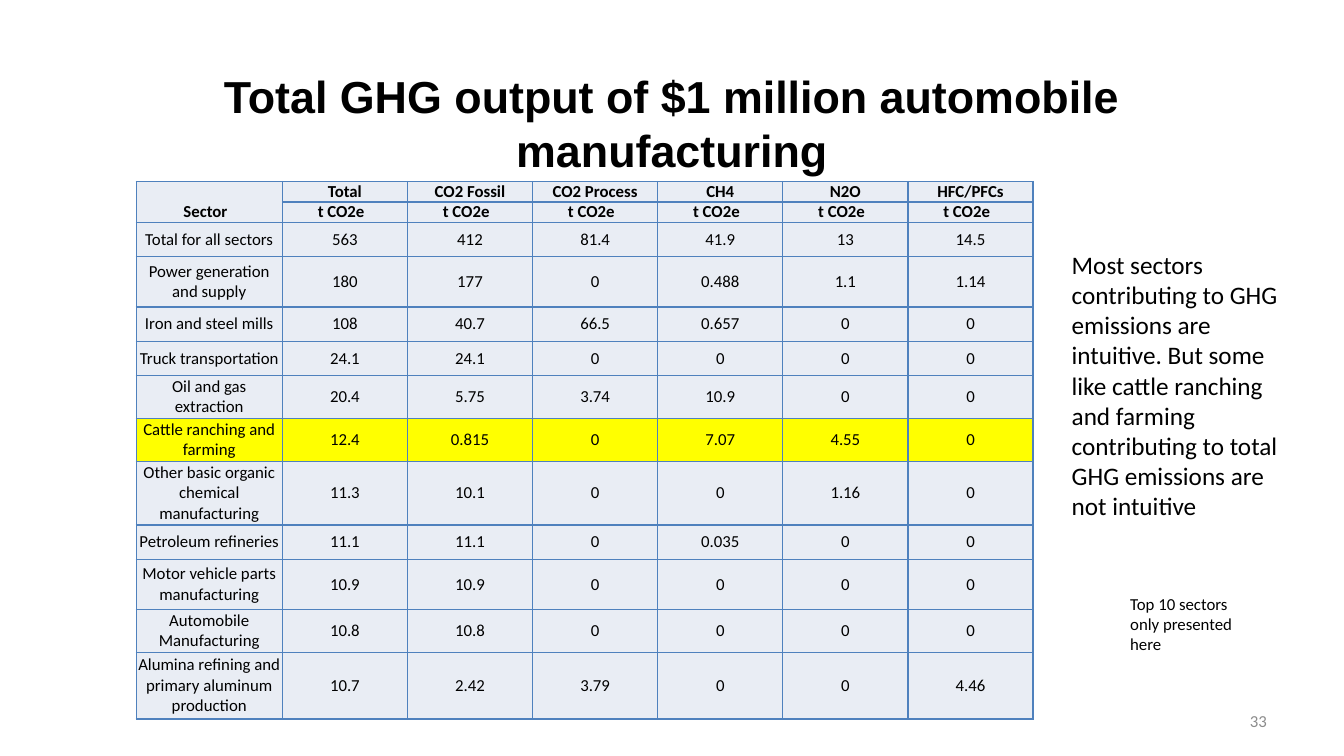
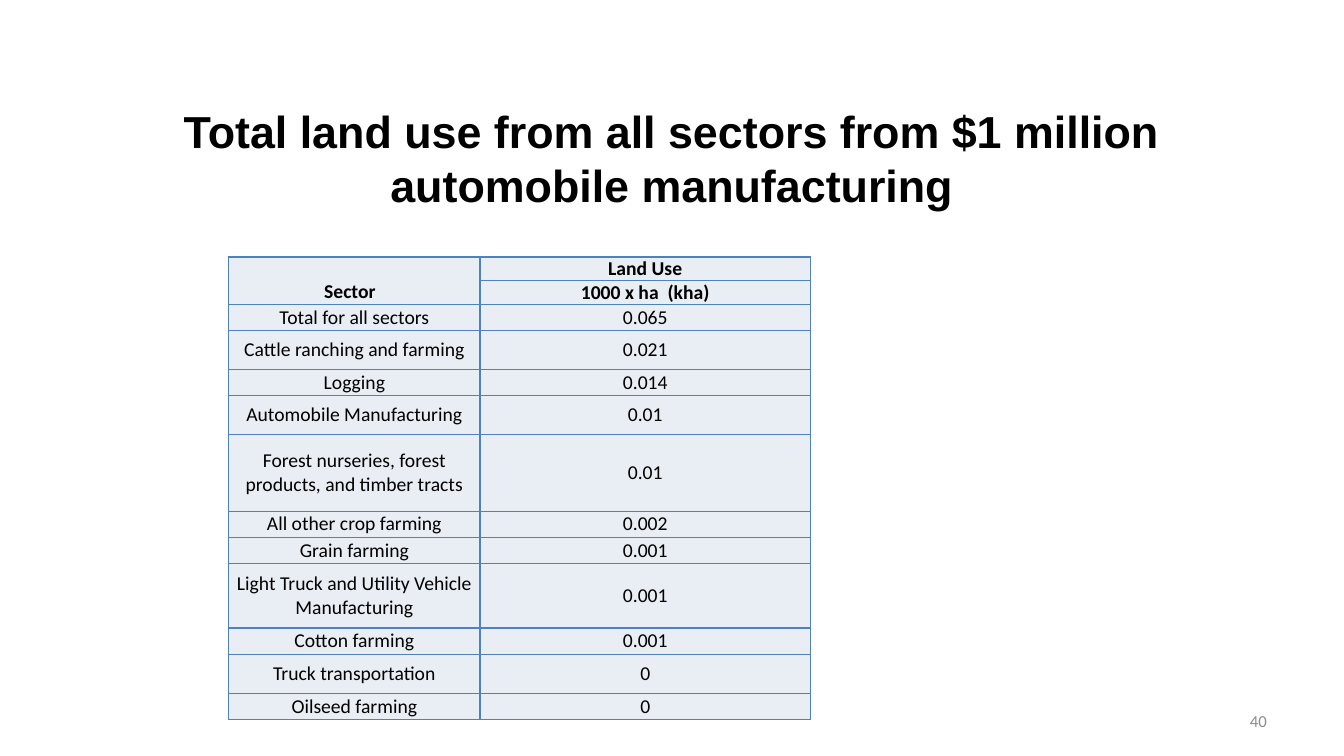
from lxml import etree
from pptx import Presentation
from pptx.dml.color import RGBColor
from pptx.enum.text import MSO_ANCHOR as Anchor, MSO_AUTO_SIZE as AutoSize, PP_ALIGN as Align
from pptx.oxml.ns import qn
from pptx.util import Inches, Pt

WIDTH, HEIGHT = Inches(13.33), Inches(7.5)
BLACK, GREY, BORDER = "000000", "8C8C8C", "4F81BD"
CELL_FILL, HIGHLIGHT = "E9EDF4", "FFFF00"

EMISSION_HEADERS = [
    ["Sector  ", "Total", "CO2 Fossil", "CO2 Process", "CH4", "N2O", "HFC/PFCs"],
    [""] + ["t CO2e  "] * 6,
]
EMISSIONS = [
    ["Total for all sectors", "563", "412", "81.4", "41.9", "13", "14.5"],
    ["Power generation and supply", "180", "177", "0", "0.488", "1.1", "1.14"],
    ["Iron and steel mills", "108", "40.7", "66.5", "0.657", "0", "0"],
    ["Truck transportation", "24.1", "24.1", "0", "0", "0", "0"],
    ["Oil and gas extraction", "20.4", "5.75", "3.74", "10.9", "0", "0"],
    ["Cattle ranching and farming", "12.4", "0.815", "0", "7.07", "4.55", "0"],
    ["Other basic organic chemical manufacturing", "11.3", "10.1", "0", "0", "1.16", "0"],
    ["Petroleum refineries", "11.1", "11.1", "0", "0.035", "0", "0"],
    ["Motor vehicle parts manufacturing", "10.9", "10.9", "0", "0", "0", "0"],
    ["Automobile Manufacturing", "10.8", "10.8", "0", "0", "0", "0"],
    ["Alumina refining and primary aluminum production", "10.7", "2.42", "3.79", "0", "0", "4.46"],
]
EMISSION_HEIGHTS = [2.13, 2.13, 4.53, 6.67, 4.53, 4.53, 4.53, 4.53, 6.67, 4.53, 6.67, 4.53, 8.8]

LAND_HEADERS = [["Sector  ", "Land Use"], ["", "1000 x ha  (kha)"]]
LAND_USE = [
    ["Total for all sectors", "0.065"],
    ["Cattle ranching and farming", "0.021"],
    ["Logging", "0.014"],
    ["Automobile Manufacturing", "0.01"],
    ["Forest nurseries, forest products, and timber tracts", "0.01"],
    ["All other crop farming", "0.002"],
    ["Grain farming", "0.001"],
    ["Light Truck and Utility Vehicle Manufacturing", "0.001"],
    ["Cotton farming", "0.001"],
    ["Truck transportation", "0"],
    ["Oilseed farming", "0"],
]
LAND_HEIGHTS = [2.8, 1.73, 3.47, 5.2, 1.87, 5.2, 10.13, 3.47, 3.47, 8.53, 3.47, 5.2, 3.47]


def color(hex_code):
    return RGBColor.from_string(hex_code)


def across(percent):
    return round(WIDTH * percent / 100)


def down(percent):
    return round(HEIGHT * percent / 100)


def place(left, top, width, height):
    return across(left), down(top), across(width), down(height)


def write(frame, text, size, font="Calibri", ink=BLACK, bold=False, align=Align.LEFT):
    frame.text = text
    para = frame.paragraphs[0]
    para.alignment = align
    for span in para.runs:
        span.font.name, span.font.size, span.font.bold = font, Pt(size), bold
        span.font.color.rgb = color(ink)


def add_text(page, box, text, size, anchor=Anchor.TOP, grow=False, **style):
    frame = page.shapes.add_textbox(*place(*box)).text_frame
    frame.word_wrap = True
    frame.auto_size = AutoSize.SHAPE_TO_FIT_TEXT if grow else AutoSize.NONE
    frame.vertical_anchor = anchor
    write(frame, text, size, **style)


def add_page(deck, title, title_top, number):
    page = deck.slides.add_slide(deck.slide_layouts[6])
    add_text(page, (5, title_top, 90, 15.6), title, 32, Anchor.MIDDLE,
             font="Arial", bold=True, align=Align.CENTER)
    add_text(page, (71.7, 92.7, 23.3, 5.3), number, 12, Anchor.MIDDLE,
             ink=GREY, align=Align.RIGHT)
    return page


def draw_borders(cell):
    properties = cell._tc.get_or_add_tcPr()
    for position, side in enumerate(("lnL", "lnR", "lnT", "lnB")):
        line = etree.Element(qn(f"a:{side}"), w=str(Pt(1)))
        fill = etree.SubElement(line, qn("a:solidFill"))
        etree.SubElement(fill, qn("a:srgbClr"), val=BORDER)
        properties.insert(position, line)


def fill_cell(cell, text, size, header, fill):
    cell.margin_left = cell.margin_right = 0
    cell.margin_top = cell.margin_bottom = 0 if header else Inches(0.01)
    cell.vertical_anchor = Anchor.BOTTOM if header else Anchor.MIDDLE
    cell.fill.solid()
    cell.fill.fore_color.rgb = color(fill)
    write(cell.text_frame, text, size, bold=header, align=Align.CENTER)
    draw_borders(cell)


def add_sector_table(page, corner, widths, heights, headers, body, size, highlight=None):
    rows = headers + body
    box = place(*corner, sum(widths), sum(heights))
    table = page.shapes.add_table(len(rows), len(widths), *box).table
    table.first_row = table.horz_banding = False
    for column, width in zip(table.columns, widths):
        column.width = across(width)
    for row, height in zip(table.rows, heights):
        row.height = down(height)
    for index, values in enumerate(rows):
        fill = HIGHLIGHT if values[0] == highlight else CELL_FILL
        for cell, text in zip(table.rows[index].cells, values):
            fill_cell(cell, text, size, index < len(headers), fill)
    table.cell(0, 0).merge(table.cell(1, 0))


def add_emissions_page(deck):
    page = add_page(deck, "Total GHG output of $1 million automobile manufacturing", 8.4, "33")
    add_sector_table(page, (10.13, 24), [10.88] + [9.31] * 6, EMISSION_HEIGHTS,
                     EMISSION_HEADERS, EMISSIONS, 12, "Cattle ranching and farming")
    add_text(page, (83.35, 77.87, 10.43, 9.47), "Top 10 sectors only presented here", 12, grow=True)
    add_text(page, (79, 32.27, 17.63, 37.73),
             "Most sectors contributing to GHG emissions are intuitive. But some like cattle "
             "ranching and farming contributing to total GHG emissions are not intuitive",
             18, grow=True)


def add_land_page(deck):
    page = add_page(deck, "Total land use from all sectors from $1 million automobile manufacturing",
                    13.07, "40")
    add_sector_table(page, (17.03, 34), [18.68, 24.61], LAND_HEIGHTS,
                     LAND_HEADERS, LAND_USE, 14)


def main():
    deck = Presentation()
    deck.slide_width, deck.slide_height = WIDTH, HEIGHT
    add_emissions_page(deck)
    add_land_page(deck)
    deck.save("out.pptx")


if __name__ == "__main__":
    main()
